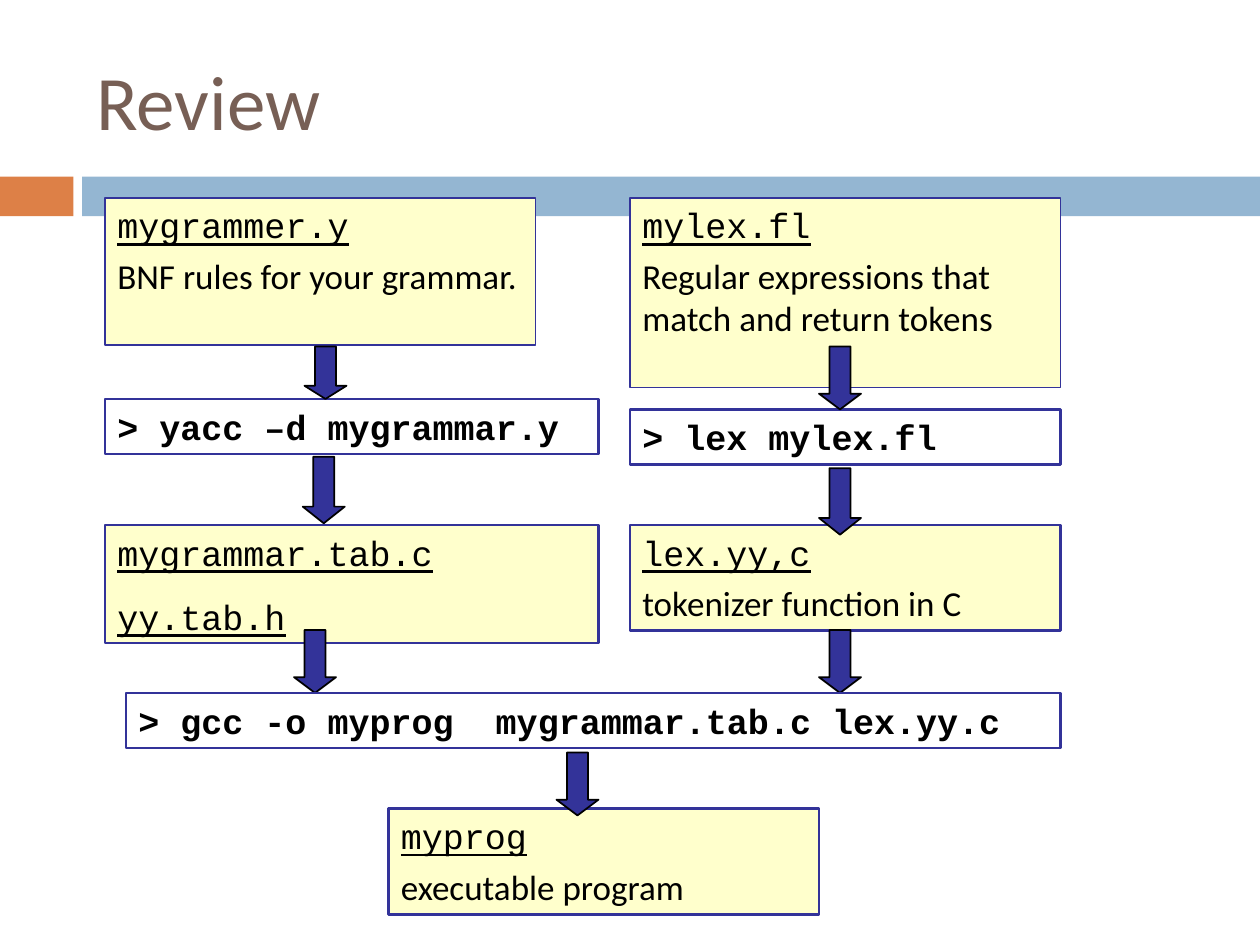
from dataclasses import dataclass

from pptx import Presentation
from pptx.dml.color import RGBColor
from pptx.enum import shapes, text
from pptx.util import Pt


@dataclass(frozen=True)
class Theme:
    """Colours, fonts and type sizes of the slide."""
    orange: str = "DD8047"
    blue: str = "94B6D2"
    brown: str = "775F55"
    navy: str = "333399"
    cream: str = "FFFFCC"
    black: str = "000000"
    sans: str = "Calibri"
    mono: str = "Courier New"
    title: int = 44
    body: int = 20


T = Theme()


def add_shape(s, kind, box, fill=None, line=None, weight=1.5):
    """Add a flat preset shape in a (left, top, width, height) box."""
    sp = s.shapes.add_shape(kind, *map(Pt, box))
    sp.shadow.inherit = False
    if fill:
        sp.fill.solid()
        sp.fill.fore_color.rgb = RGBColor.from_string(fill)
    else:
        sp.fill.background()
    if line:
        sp.line.color.rgb = RGBColor.from_string(line)
        sp.line.width = Pt(weight)
    else:
        sp.line.fill.background()
    return sp


def style(p, face, size, color, bold=False, underline=False):
    """Set the font of a left-aligned paragraph."""
    p.alignment = text.PP_ALIGN.LEFT
    f = p.font
    f.name, f.size, f.bold, f.underline = face, Pt(size), bold, underline
    f.color.rgb = RGBColor.from_string(color)


def text_box(s, box, fill=None, weight=1.5):
    """Add an outlined box and return its top-anchored text frame."""
    sp = add_shape(s, shapes.MSO_SHAPE.RECTANGLE, box, fill, T.navy, weight)
    tf = sp.text_frame
    tf.word_wrap = True
    tf.vertical_anchor = text.MSO_ANCHOR.TOP
    return tf


def file_box(s, box, names, note=None, weight=1.5):
    """Add a box with underlined file names and an optional description."""
    tf = text_box(s, box, T.cream, weight)
    for i, name in enumerate(names):
        p = tf.add_paragraph() if i else tf.paragraphs[0]
        p.text = name
        p.space_before = Pt(12.5 if i else 0)
        style(p, T.mono, T.body, T.black, underline=True)
    if note:
        p = tf.add_paragraph()
        p.text = note
        p.space_before = Pt(5)
        style(p, T.sans, T.body, T.black)


def command_box(s, x, y, w, command):
    """Add a one-line box with a shell command."""
    p = text_box(s, (x, y, w, 31.5)).paragraphs[0]
    p.text = f"> {command}"
    style(p, T.mono, T.body, T.black, bold=True)


def arrow(s, x, y, h=36):
    """Add a down arrow whose head takes a quarter of its height."""
    w = 24
    sp = add_shape(s, shapes.MSO_SHAPE.DOWN_ARROW, (x, y, w, h),
                   T.navy, T.black, 1)
    sp.adjustments[0] = 0.5
    sp.adjustments[1] = h / 4 / w


def header(s, x, y, w):
    """Add the title and the two-coloured band below it."""
    split, gap, band = 42, 5, (y + 101, 22.5)
    for left, width, color in ((x, split, T.orange),
                               (x + split + gap, w - split - gap, T.blue)):
        add_shape(s, shapes.MSO_SHAPE.RECTANGLE,
                  (left, band[0], width, band[1]), color)
    tf = s.shapes.add_textbox(Pt(x + 48), Pt(y + 18), Pt(642), Pt(78)).text_frame
    tf.word_wrap = True
    tf.vertical_anchor = text.MSO_ANCHOR.MIDDLE
    tf.paragraphs[0].text = "Review"
    style(tf.paragraphs[0], T.sans, T.title, T.brown)


def grammar_column(s, x, y, w):
    """Add the path from grammar file to generated parser."""
    file_box(s, (x, y, w - 36, 84), ["mygrammer.y"],
             "BNF rules for your grammar.", 1)
    command_box(s, x, y + 115, w, "yacc –d mygrammar.y")
    file_box(s, (x, y + 187, w, 67.5), ["mygrammar.tab.c", "yy.tab.h"])
    arrow(s, x + 114, y + 85, 30)
    arrow(s, x + 113, y + 148, 38)
    arrow(s, x + 108, y + 247)


def lexer_column(s, x, y, w):
    """Add the path from token rules to generated tokenizer."""
    file_box(s, (x, y, w, 108.5), ["mylex.fl"],
             "Regular expressions that match and return tokens", 1)
    command_box(s, x, y + 121, w, "lex mylex.fl")
    file_box(s, (x, y + 187, w, 60.5), ["lex.yy,c"], "tokenizer function in C")
    for top, h in ((85, 36), (154.5, 38), (247, 36)):
        arrow(s, x + 108, y + top, h)


def build_stage(s, x, y, w):
    """Add the compile command and the resulting program."""
    command_box(s, x, y, w, "gcc -o myprog  mygrammar.tab.c lex.yy.c")
    file_box(s, (x + 150, y + 66, 246, 60.5), ["myprog"], "executable program")
    arrow(s, x + 246, y + 34)


def main():
    """Build the slide and save it."""
    prs = Presentation()
    prs.slide_width, prs.slide_height = Pt(720), Pt(540)
    s = prs.slides.add_slide(prs.slide_layouts[6])
    header(s, 0, 0, 720)
    grammar_column(s, 60, 113, 282)
    lexer_column(s, 360, 113, 246)
    build_stage(s, 72, 396, 534)
    prs.save("out.pptx")


if __name__ == "__main__":
    main()
